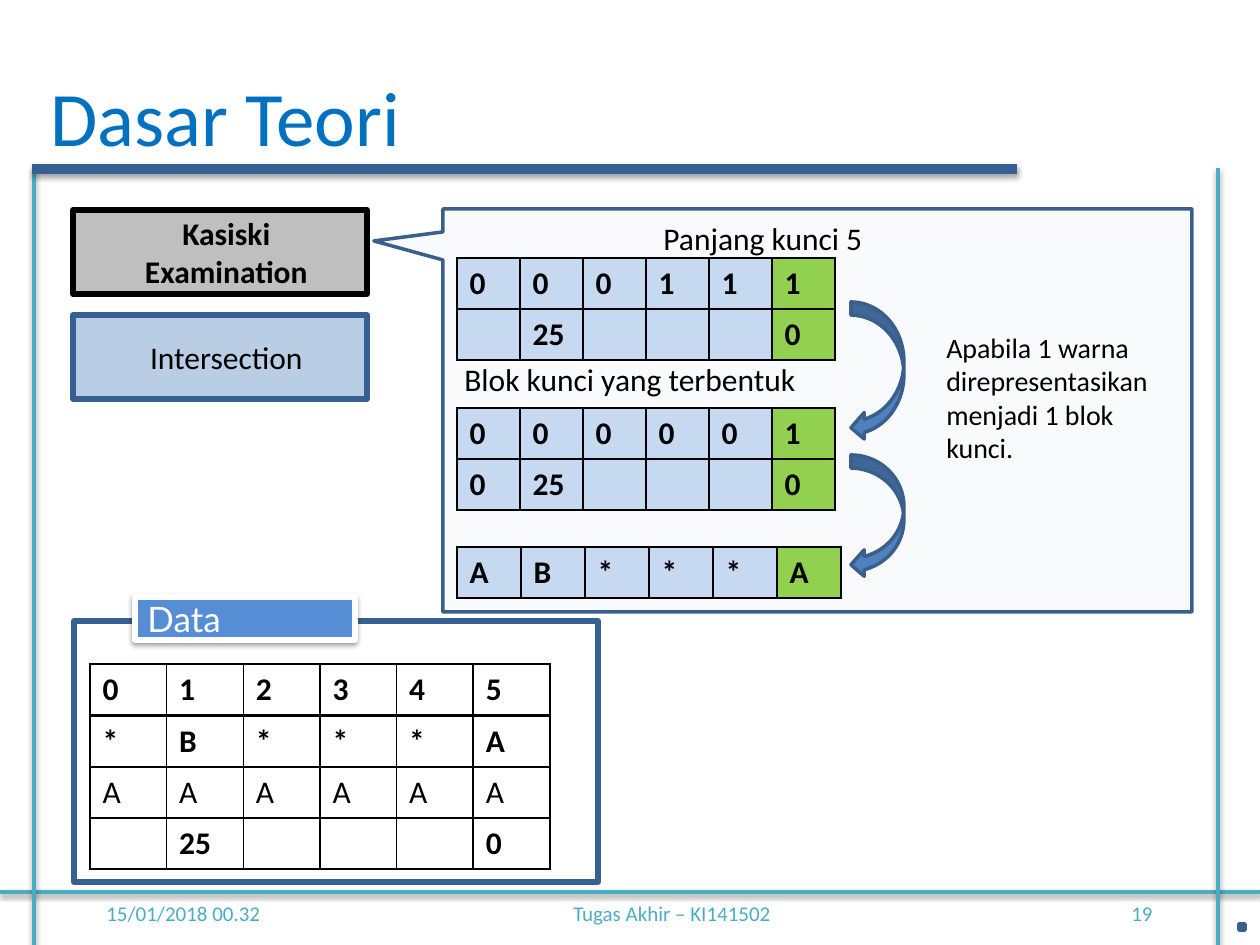
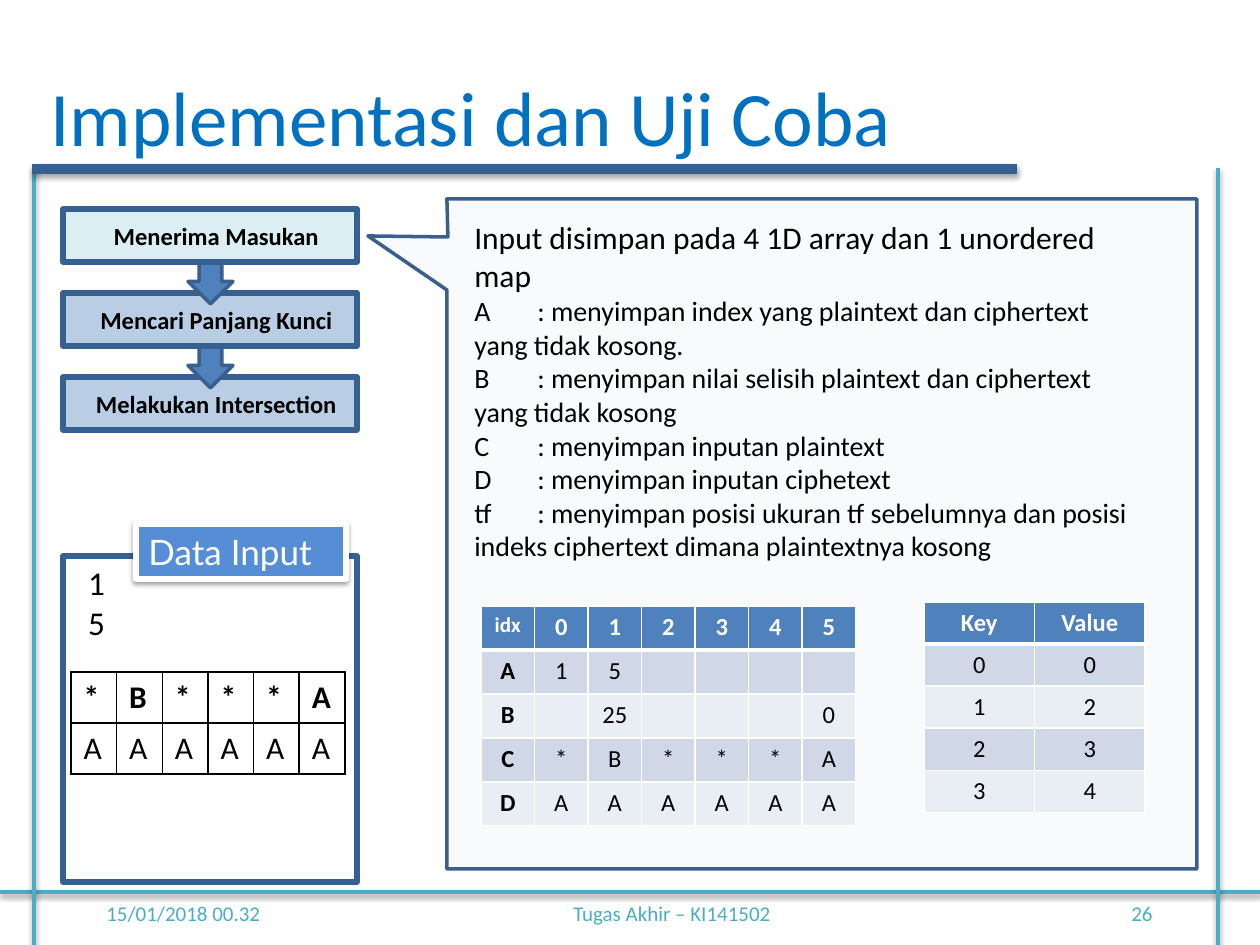
from dataclasses import dataclass

from lxml import etree
from pptx import Presentation
from pptx import util as u
from pptx.dml.color import RGBColor
from pptx.enum import shapes, text
from pptx.oxml import ns

KIND = shapes.MSO_SHAPE
LEFT, MID, RIGHT = text.PP_ALIGN.LEFT, text.PP_ALIGN.CENTER, text.PP_ALIGN.RIGHT
TOP, CENTER = text.MSO_ANCHOR.TOP, text.MSO_ANCHOR.MIDDLE
SCALE = 914400 / 126


@dataclass(frozen=True)
class Theme:
    """Colours, fonts and type sizes of the deck."""
    face: str = "Calibri"
    tag_face: str = "Lato"
    black: str = "000000"
    white: str = "FFFFFF"
    title: str = "0070C0"
    aqua: str = "4BACC6"
    navy: str = "376092"
    edge: str = "3A5F8C"
    blue: str = "4F81BD"
    tag: str = "558ED5"
    pale: str = "B9CDE5"
    ice: str = "DBEEF4"
    gray: str = "BFBFBF"
    note: str = "DCE6F2"
    cell: str = "C6D9F1"
    green: str = "92D050"
    bands: tuple = ("E9EDF4", "D0D8E8")
    head: int = 44
    label: int = 20
    entry: int = 19
    body: int = 18
    text: int = 16
    small: int = 14
    foot: int = 12


T = Theme()


def px(n):
    """Turn px into EMU."""
    return u.Emu(round(n * SCALE))


def rgb(tone):
    """Turn a hex string into a colour."""
    return RGBColor.from_string(tone)


def sub(node, tag, **attrs):
    """Add a drawing element with attributes to a node."""
    return etree.SubElement(node, ns.qn("a:" + tag), **attrs)


def shade(shape, alpha=38, dist=1.6):
    """Give a shape or line a soft shadow below it."""
    drop = sub(sub(shape._element.spPr, "effectLst"), "outerShdw",
               blurRad=str(u.Pt(3.1)), dist=str(u.Pt(dist)),
               dir="5400000", algn="t", rotWithShape="0")
    sub(sub(drop, "srgbClr", val=T.black), "alpha", val=str(alpha * 1000))


def ink(para, size, tone=T.black, bold=False, align=LEFT, face=T.face):
    """Format one paragraph."""
    para.alignment = align
    font = para.font
    font.size, font.bold, font.name = u.Pt(size), bold, face
    font.color.rgb = rgb(tone)


def fill(frame, lines, size, anchor=TOP, **look):
    """Write lines into a text frame as paragraphs."""
    frame.word_wrap = True
    frame.vertical_anchor = anchor
    for i, line in enumerate(lines):
        para = frame.paragraphs[0] if i == 0 else frame.add_paragraph()
        para.text = line
        ink(para, size, **look)


def note(sl, x, y, w, h, lines, size, **look):
    """Add a text box."""
    box = sl.shapes.add_textbox(px(x), px(y), px(w), px(h))
    fill(box.text_frame, lines, size, **look)
    return box.text_frame


def paint(shape, tone, edge, width):
    """Set the fill and outline of a shape."""
    if tone:
        shape.fill.solid()
        shape.fill.fore_color.rgb = rgb(tone)
    else:
        shape.fill.background()
    shape.line.color.rgb = rgb(edge)
    shape.line.width = u.Pt(width)


def form(sl, kind, x, y, w, h, tone, edge=T.edge, width=2, flat=True):
    """Add a preset shape."""
    shape = sl.shapes.add_shape(kind, px(x), px(y), px(w), px(h))
    paint(shape, tone, edge, width)
    if flat:
        shape.shadow.inherit = False
    return shape


def block(sl, x, y, w, h, lines, size, tone, edge=T.navy, **look):
    """Add an outlined box with text inset from the left."""
    shape = form(sl, KIND.RECTANGLE, x, y, w, h, tone, edge, 3)
    shape.text_frame.margin_left = px(25)
    fill(shape.text_frame, lines, size, **look)


def rule(sl, x1, y1, x2, y2, tone, width, **drop):
    """Add a shaded straight line."""
    line = sl.shapes.add_connector(
        shapes.MSO_CONNECTOR.STRAIGHT, px(x1), px(y1), px(x2), px(y2))
    line.line.color.rgb = rgb(tone)
    line.line.width = u.Pt(width)
    shade(line, **drop)


def frame(deck, title, width, page):
    """Add a slide with its title, rules and footer."""
    sl = deck.slides.add_slide(deck.slide_layouts[5])
    feet = ((94, 262, "15/01/2018 00.32", LEFT),
            (472, 400, "Tugas Akhir – KI141502", MID),
            (903, 262, page, RIGHT))
    for x, w, line, align in feet:
        note(sl, x, 882, w, 63, [line], T.foot, anchor=CENTER,
             tone=T.aqua, align=align)
    for ends in ((0, 892, 1260, 892), (34, 168, 34, 955), (1218, 168, 1218, 945)):
        rule(sl, *ends, T.aqua, 2)
    head = sl.shapes.title
    head.left, head.top, head.width, head.height = map(px, (38, 63, width, 106))
    fill(head.text_frame, [title], T.head, tone=T.title)
    head.text_frame.word_wrap = False
    head.text_frame.auto_size = text.MSO_AUTO_SIZE.NONE
    rule(sl, 32, 169, 1017, 169, T.navy, 6, alpha=35, dist=1.8)
    return sl


def callout(sl, x, y, w, h, tail):
    """Add a see-through callout with a tail on its left side."""
    pen = sl.shapes.build_freeform(0, 0, scale=SCALE)
    pen.add_line_segments([(w, 0), (w, h), (0, h), *tail], close=True)
    shape = pen.convert_to_shape(px(x), px(y))
    paint(shape, T.note, T.edge, 2)
    shape.shadow.inherit = False
    tone = next(shape._element.spPr.iter(ns.qn("a:srgbClr")))
    sub(tone, "alpha", val="20000")


def panel(sl, x, y, w, h, lines, tag, dx, dy, tw, th):
    """Add an outlined panel with a tag over its top edge."""
    block(sl, x, y, w, h, lines, T.entry, None)
    top = form(sl, KIND.RECTANGLE, x + dx, y + dy, tw, th,
               T.tag, T.white, 3, flat=False)
    shade(top)
    fill(top.text_frame, [tag], T.label, anchor=CENTER,
         tone=T.white, face=T.tag_face)
    top.text_frame.paragraphs[0].space_after = u.Pt(3)


def border(cell, tone, heavy):
    """Line the four sides of a cell, some of them heavy."""
    props = cell._tc.get_or_add_tcPr()
    for side in "LRTB":
        width = u.Pt(3 if side in heavy else 1)
        line = sub(props, "ln" + side, w=str(width))
        sub(sub(line, "solidFill"), "srgbClr", val=tone)


def grid(sl, x, y, w, step, rows, look, edge=T.black, banded=False):
    """Add a table with equal columns; look gives fill, size and font."""
    wide = len(rows[0])
    table = sl.shapes.add_table(len(rows), wide, px(x), px(y), px(w),
                                px(step * len(rows))).table
    table.first_row = table.horz_banding = False
    for col in table.columns:
        col.width = px(w / wide)
    for r, row in enumerate(rows):
        table.rows[r].height = px(step)
        for c, value in enumerate(row):
            cell = table.cell(r, c)
            border(cell, edge, {0: "B", 1: "T"}.get(r, "") if banded else "")
            tone, size, font = look(r, c)
            if tone:
                cell.fill.solid()
                cell.fill.fore_color.rgb = rgb(tone)
            else:
                cell.fill.background()
            para = cell.text_frame.paragraphs[0]
            para.text = value
            ink(para, size, **font)
            if not value:
                para._p.get_or_add_endParaRPr().set("sz", str(size * 100))


def plain(r, c):
    """Style an unfilled cell with a bold first row."""
    return None, T.body, {"bold": r == 0}


def keyed(r, c):
    """Style a key cell with the sixth column in green."""
    return T.green if c == 5 else T.cell, T.body, {"bold": True}


def pair(r, c):
    """Style a banded cell under a blue header."""
    if r == 0:
        return T.blue, T.small, {"tone": T.white, "bold": True, "align": MID}
    return T.bands[r % 2], T.small, {"align": MID}


def index(r, c):
    """Style a banded cell with a bold first column."""
    tone, size, font = pair(r, c)
    return tone, T.foot if r == c == 0 else size, {**font, "bold": r == 0 or c == 0}


def steps(sl, x, y, w, h, pitch, names):
    """Stack boxes joined by down arrows."""
    for i, name in reversed(list(enumerate(names))):
        top = y + i * pitch
        block(sl, x, top, w, h, [name], T.small, T.pale if i else T.ice,
              anchor=CENTER, bold=True, align=MID)
        if i:
            form(sl, KIND.DOWN_ARROW, x + 125, top - 42, 45, 53, T.blue)


def blocks(sl, x, y):
    """Show in a callout how the key blocks are formed."""
    callout(sl, x, y, 749, 403, [(0, 51), (-69, 32), (0, 23)])
    note(sl, x + 208, y + 4, 410, 50, ["Panjang kunci 5"], T.body)
    note(sl, x + 9, y + 145, 426, 50, ["Blok kunci yang terbentuk"], T.body)
    note(sl, x + 491, y + 115, 239, 149,
         ["Apabila 1 warna direpresentasikan menjadi 1 blok kunci."], T.text)
    for dy, h in ((246, 123), (93, 139)):
        form(sl, KIND.CURVED_LEFT_ARROW, x + 408, y + dy, 53, h, T.blue)
    rows = ((49, 378, ["0", "0", "0", "1", "1", "1"]),
            (100, 378, ["", "25", "", "", "", "0"]),
            (199, 378, ["0", "0", "0", "0", "0", "1"]),
            (250, 378, ["0", "25", "", "", "", "0"]),
            (338, 384, list("AB***A")))
    for dy, w, row in rows:
        grid(sl, x + 14, y + dy, w, 51, [row], keyed)


def store(sl, x, y):
    """Show in a callout how the input is stored."""
    callout(sl, x, y, 750, 670, [(0, 91), (-79, 37), (1, 38)])
    lines = ["Input disimpan pada 4 1D array dan 1 unordered map",
             "A\t: menyimpan index yang plaintext dan ciphertext yang tidak kosong.",
             "B\t: menyimpan nilai selisih plaintext dan ciphertext yang tidak kosong",
             "C\t: menyimpan inputan plaintext",
             "D\t: menyimpan inputan ciphetext",
             "tf\t: menyimpan posisi ukuran tf sebelumnya dan posisi indeks "
             "ciphertext dimana plaintextnya kosong"]
    body = note(sl, x + 15, y + 13, 693, 360, lines, T.text)
    body.paragraphs[0].font.size = u.Pt(T.body)
    arrays = [["idx", *"012345"], ["A", "1", "5", "", "", "", ""],
              ["B", "", "25", "", "", "", "0"], list("C*B***A"), list("DAAAAAA")]
    grid(sl, x + 34, y + 407, 375, 44, arrays, index, T.white, True)
    pairs = [["Key", "Value"], *map(list, ("00", "12", "23", "34"))]
    grid(sl, x + 477, y + 403, 221, 42, pairs, pair, T.white, True)


def theory(deck):
    """Build the slide on theory."""
    sl = frame(deck, "Dasar Teori", 379, "19")
    panel(sl, 74, 621, 524, 261, [], "Data", 61, -24, 220, 43)
    blocks(sl, 443, 209)
    block(sl, 73, 315, 294, 84, ["Intersection"], T.body, T.pale,
          anchor=CENTER, align=MID)
    block(sl, 73, 210, 294, 84, ["Kasiski Examination"], T.body, T.gray,
          T.black, anchor=CENTER, bold=True, align=MID)
    parts = ((716, [list("*B***A"), list("AAAAAA")]),
             (818, [["", "25", "", "", "", "0"]]),
             (664, [list("012345")]))
    for y, rows in parts:
        grid(sl, 90, y, 460, 51, rows, plain)
    form(sl, KIND.ACTION_BUTTON_RETURN, 1239, 924, 6, 6, T.blue)


def trial(deck):
    """Build the slide on implementation and trial."""
    sl = frame(deck, "Implementasi dan Uji Coba", 876, "26")
    panel(sl, 63, 556, 294, 326, ["1", "5"], "Data Input", 73, -32, 210, 55)
    store(sl, 447, 199)
    steps(sl, 63, 209, 294, 53, 84,
          ["Menerima Masukan", "Mencari Panjang Kunci", "Melakukan Intersection"])
    grid(sl, 71, 672, 274, 51, [list("*B***A"), list("AAAAAA")], plain)


def main():
    """Build and save the deck."""
    deck = Presentation()
    deck.slide_width, deck.slide_height = px(1260), px(945)
    theory(deck)
    trial(deck)
    deck.save("out.pptx")


if __name__ == "__main__":
    main()
